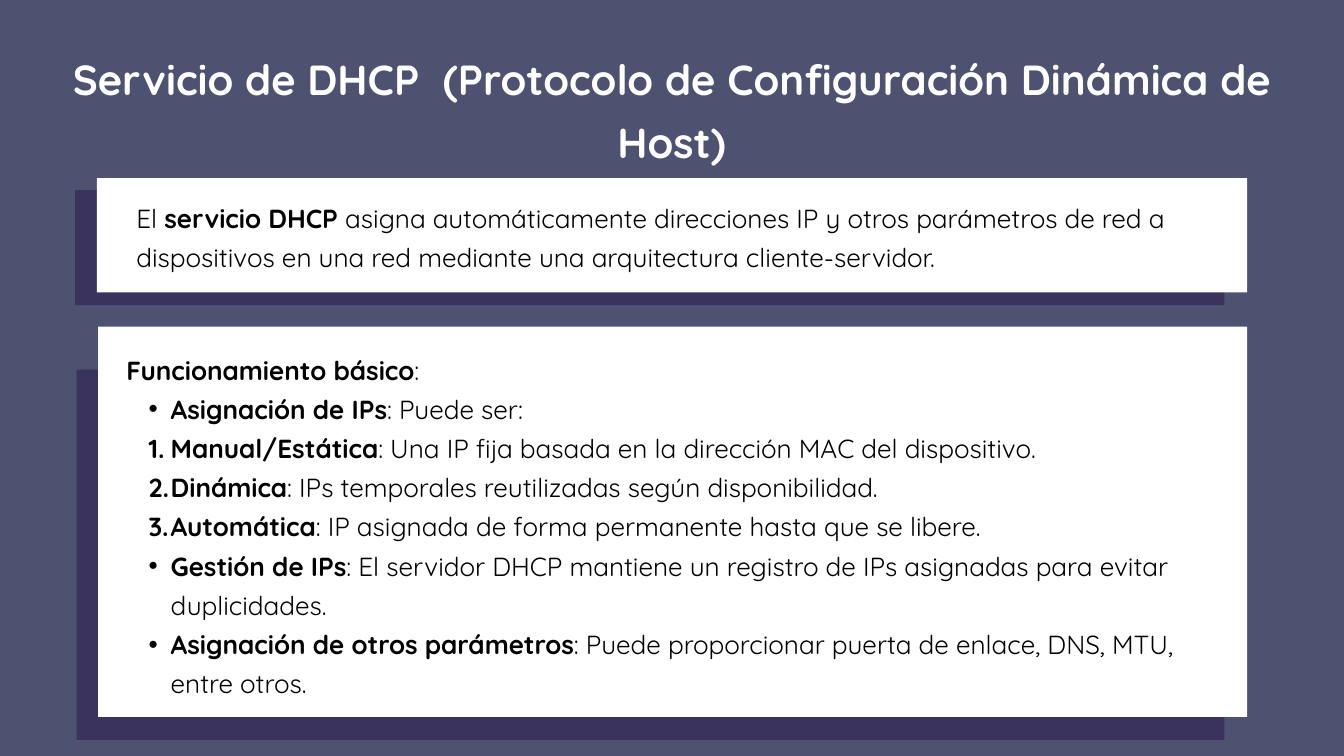
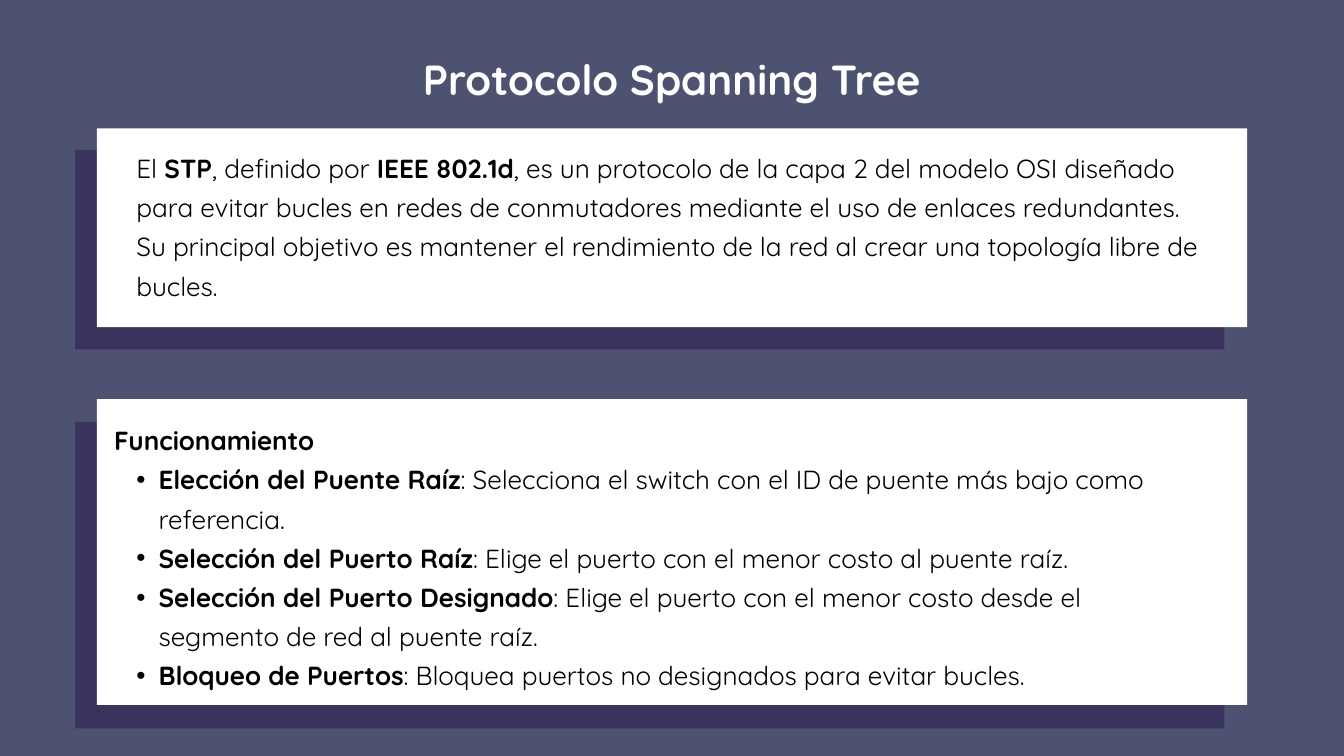
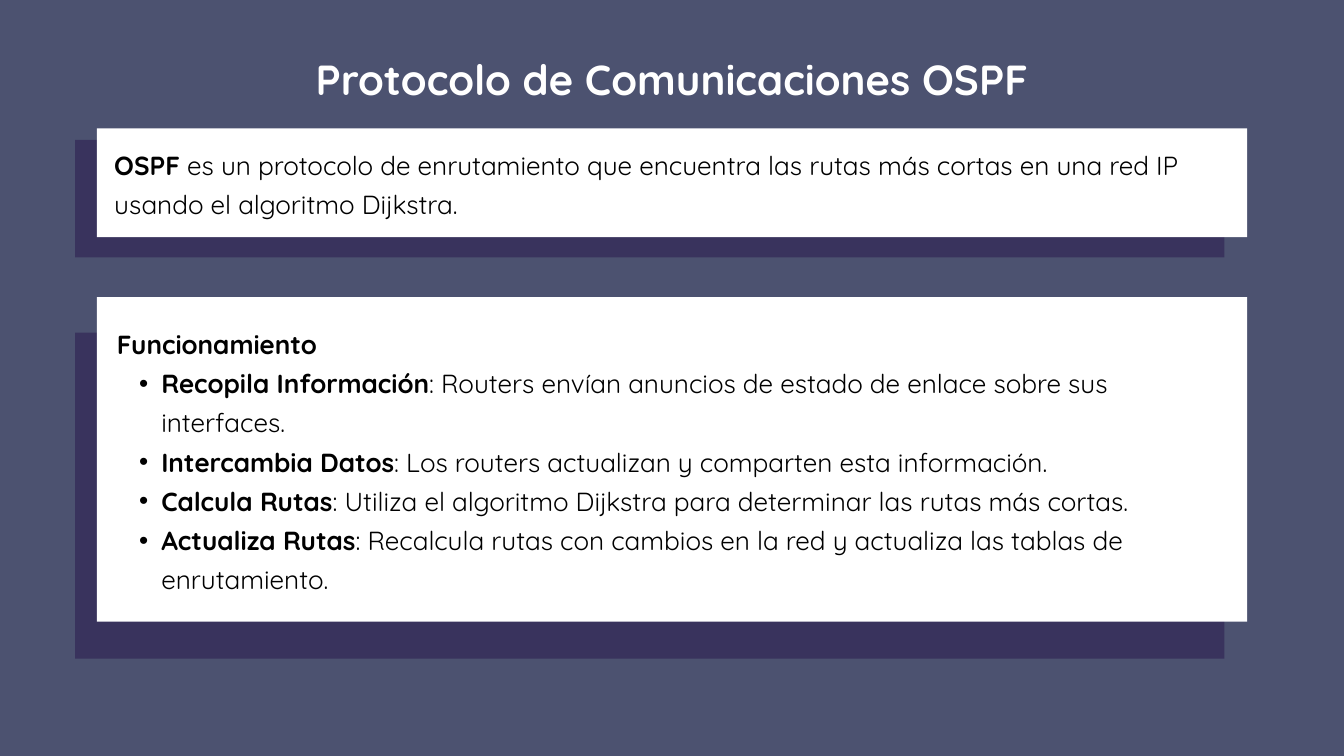
"""Builds three slides on network protocols: DHCP, Spanning Tree and OSPF."""
from dataclasses import dataclass
from enum import Enum
from typing import NamedTuple

from lxml.etree import SubElement
from pptx import Presentation
from pptx.dml.color import RGBColor
from pptx.enum.shapes import MSO_SHAPE as Shape
from pptx.enum.text import MSO_AUTO_SIZE as AutoSize, PP_ALIGN as Align
from pptx.oxml.ns import qn
from pptx.slide import Slide
from pptx.text.text import TextFrame, _Paragraph as Paragraph
from pptx.util import Inches, Length, Pt


@dataclass(frozen=True)
class Theme:
    font: str = "Quicksand"
    background: RGBColor = RGBColor(0x4C, 0x52, 0x70)
    shadow: RGBColor = RGBColor(0x1C, 0x01, 0x40)
    shadow_opacity: int = 38
    card: RGBColor = RGBColor(0xFF, 0xFF, 0xFF)
    title: RGBColor = RGBColor(0xFF, 0xFF, 0xFF)
    body: RGBColor = RGBColor(0x00, 0x00, 0x00)
    title_size: Length = Pt(45)
    body_size: Length = Pt(28)
    leading: float = 1.5


THEME = Theme()
CARD_LEFT = Inches(1.44)
CARD_RIGHT = Inches(18.56)
SHADOW_RIGHT = Inches(18.22)
SHADOW_SHIFT = Inches(0.32)
LIST_INDENT = Inches(0.66)
HANGING = Inches(0.33)


class Marker(Enum):
    NONE = 0
    BULLET = 1
    NUMBER = 2


class Line(NamedTuple):
    wording: str
    marker: Marker = Marker.NONE


class Box(NamedTuple):
    left: Length
    top: Length
    width: Length
    height: Length


class Span(NamedTuple):
    top: Length
    bottom: Length


@dataclass(frozen=True)
class Panel:
    card: Span
    shadow: Span
    text: Box
    lines: list[Line]
    left: Length = CARD_LEFT


@dataclass(frozen=True)
class Topic:
    title: str
    title_height: Length
    panels: list[Panel]


def inch_box(left: float, top: float, width: float, height: float) -> Box:
    """Return a box measured in inches."""
    return Box(Inches(left), Inches(top), Inches(width), Inches(height))


def inch_span(top: float, bottom: float) -> Span:
    """Return a vertical span measured in inches."""
    return Span(Inches(top), Inches(bottom))


def bullets(*wordings: str) -> list[Line]:
    """Return one bulleted line per wording."""
    return [Line(wording, Marker.BULLET) for wording in wordings]


def numbers(*wordings: str) -> list[Line]:
    """Return one numbered line per wording."""
    return [Line(wording, Marker.NUMBER) for wording in wordings]


TOPICS = [
    Topic("Servicio de DHCP  (Protocolo de Configuración Dinámica de Host)", Inches(1.81), [
        Panel(inch_span(2.65, 4.35), inch_span(2.83, 4.54), inch_box(2.03, 2.89, 15.94, 1.13), [
            Line("El **servicio DHCP **asigna automáticamente direcciones IP y otros parámetros "
                 "de red a dispositivos en una red mediante una arquitectura cliente-servidor."),
        ]),
        Panel(inch_span(4.86, 10.67), inch_span(5.5, 11.01), inch_box(1.88, 5.15, 16.25, 5.13), [
            Line("**Funcionamiento básico**:"),
            *bullets("**Asignación de IPs**: Puede ser:"),
            *numbers(
                "**Manual/Estática**: Una IP fija basada en la dirección MAC del dispositivo.",
                "**Dinámica**: IPs temporales reutilizadas según disponibilidad.",
                "**Automática**: IP asignada de forma permanente hasta que se libere."),
            *bullets(
                "**Gestión de IPs**: El servidor DHCP mantiene un registro de IPs asignadas "
                "para evitar duplicidades.",
                "**Asignación de otros parámetros**: Puede proporcionar puerta de enlace, DNS, "
                "MTU, entre otros."),
        ], left=Inches(1.46)),
    ]),
    Topic("Protocolo Spanning Tree", Inches(0.89), [
        Panel(inch_span(1.91, 4.87), inch_span(2.23, 5.2), inch_box(2.03, 2.15, 15.94, 2.3), [
            Line("El** STP**, definido por** IEEE 802.1d**, es un protocolo de la capa 2 del "
                 "modelo OSI diseñado para evitar bucles en redes de conmutadores mediante el "
                 "uso de enlaces redundantes. Su principal objetivo es mantener el rendimiento "
                 "de la red al crear una topología libre de bucles."),
        ]),
        Panel(inch_span(5.94, 10.49), inch_span(6.28, 10.84), inch_box(1.7, 6.2, 15.94, 4.05), [
            Line("**Funcionamiento**"),
            *bullets(
                "**Elección del Puente Raíz**: Selecciona el switch con el ID de puente más "
                "bajo como referencia.",
                "**Selección del Puerto Raíz**: Elige el puerto con el menor costo al puente raíz.",
                "**Selección del Puerto Designado**: Elige el puerto con el menor costo desde "
                "el segmento de red al puente raíz.",
                "**Bloqueo de Puertos**: Bloquea puertos no designados para evitar bucles."),
        ]),
    ]),
    Topic("Protocolo de Comunicaciones OSPF", Inches(0.89), [
        Panel(inch_span(1.91, 3.53), inch_span(2.08, 3.83), inch_box(1.7, 2.11, 16.52, 1.13), [
            Line("**OSPF** es un protocolo de enrutamiento que encuentra las rutas más cortas "
                 "en una red IP usando el algoritmo Dijkstra."),
        ]),
        Panel(inch_span(4.42, 9.25), inch_span(4.95, 9.8), inch_box(1.74, 4.77, 16.52, 4.05), [
            Line("**Funcionamiento**"),
            *bullets(
                "**Recopila Información**: Routers envían anuncios de estado de enlace sobre "
                "sus interfaces.",
                "**Intercambia Datos**: Los routers actualizan y comparten esta información.",
                "**Calcula Rutas**: Utiliza el algoritmo Dijkstra para determinar las rutas "
                "más cortas.",
                "**Actualiza Rutas**: Recalcula rutas con cambios en la red y actualiza las "
                "tablas de enrutamiento."),
        ]),
    ]),
]


def add_block(slide: Slide, left: Length, right: Length, span: Span,
              color: RGBColor, opacity: int = 100) -> None:
    """Draw a borderless rectangle, translucent if its opacity is below 100."""
    block = slide.shapes.add_shape(
        Shape.RECTANGLE, left, span.top, right - left, span.bottom - span.top)
    block.shadow.inherit = False
    block.line.fill.background()
    block.fill.solid()
    block.fill.fore_color.rgb = color
    if opacity < 100:
        tint = block.fill._xPr.find(qn("a:solidFill"))[0]
        SubElement(tint, qn("a:alpha"), val=str(opacity * 1000))


def add_frame(slide: Slide, box: Box) -> TextFrame:
    """Add a wrapping text box without margins."""
    frame = slide.shapes.add_textbox(*box).text_frame
    frame.word_wrap = True
    frame.auto_size = AutoSize.SHAPE_TO_FIT_TEXT
    frame.margin_left = frame.margin_right = frame.margin_top = frame.margin_bottom = 0
    return frame


def write(paragraph: Paragraph, wording: str, size: Length, color: RGBColor) -> None:
    """Write a wording whose bold parts stand between double asterisks."""
    paragraph.line_spacing = Pt(size.pt * THEME.leading)
    for position, part in enumerate(wording.split("**")):
        if part:
            run = paragraph.add_run()
            run.text = part
            run.font.name = THEME.font
            run.font.size = size
            run.font.bold = position % 2 == 1
            run.font.color.rgb = color


def mark(paragraph: Paragraph, marker: Marker) -> None:
    """Give a paragraph its hanging indent and its bullet or number."""
    if marker is Marker.NONE:
        return
    paragraph.level = 1
    properties = paragraph._p.get_or_add_pPr()
    properties.set("marL", str(LIST_INDENT))
    properties.set("indent", str(-HANGING))
    if marker is Marker.BULLET:
        SubElement(properties, qn("a:buFont"), typeface="Arial")
        SubElement(properties, qn("a:buChar"), char="•")
    else:
        SubElement(properties, qn("a:buAutoNum"), type="arabicPeriod")


def add_panel(slide: Slide, panel: Panel) -> None:
    """Draw a white card over its offset shadow, with its text."""
    add_block(slide, panel.left - SHADOW_SHIFT, SHADOW_RIGHT, panel.shadow,
              THEME.shadow, THEME.shadow_opacity)
    add_block(slide, panel.left, CARD_RIGHT, panel.card, THEME.card)
    frame = add_frame(slide, panel.text)
    for position, line in enumerate(panel.lines):
        paragraph = frame.add_paragraph() if position else frame.paragraphs[0]
        write(paragraph, line.wording, THEME.body_size, THEME.body)
        mark(paragraph, line.marker)


def add_title(slide: Slide, topic: Topic) -> None:
    """Write the centred bold title of a topic."""
    box = Box(Inches(0.96), Inches(0.61), Inches(18.07), topic.title_height)
    heading = add_frame(slide, box).paragraphs[0]
    heading.alignment = Align.CENTER
    write(heading, f"**{topic.title}**", THEME.title_size, THEME.title)


def main() -> None:
    """Build and save the presentation."""
    deck = Presentation()
    deck.slide_width, deck.slide_height = Inches(20), Inches(11.25)
    for topic in TOPICS:
        slide = deck.slides.add_slide(deck.slide_layouts[6])
        slide.background.fill.solid()
        slide.background.fill.fore_color.rgb = THEME.background
        add_title(slide, topic)
        for panel in topic.panels:
            add_panel(slide, panel)
    deck.save("out.pptx")


if __name__ == "__main__":
    main()
